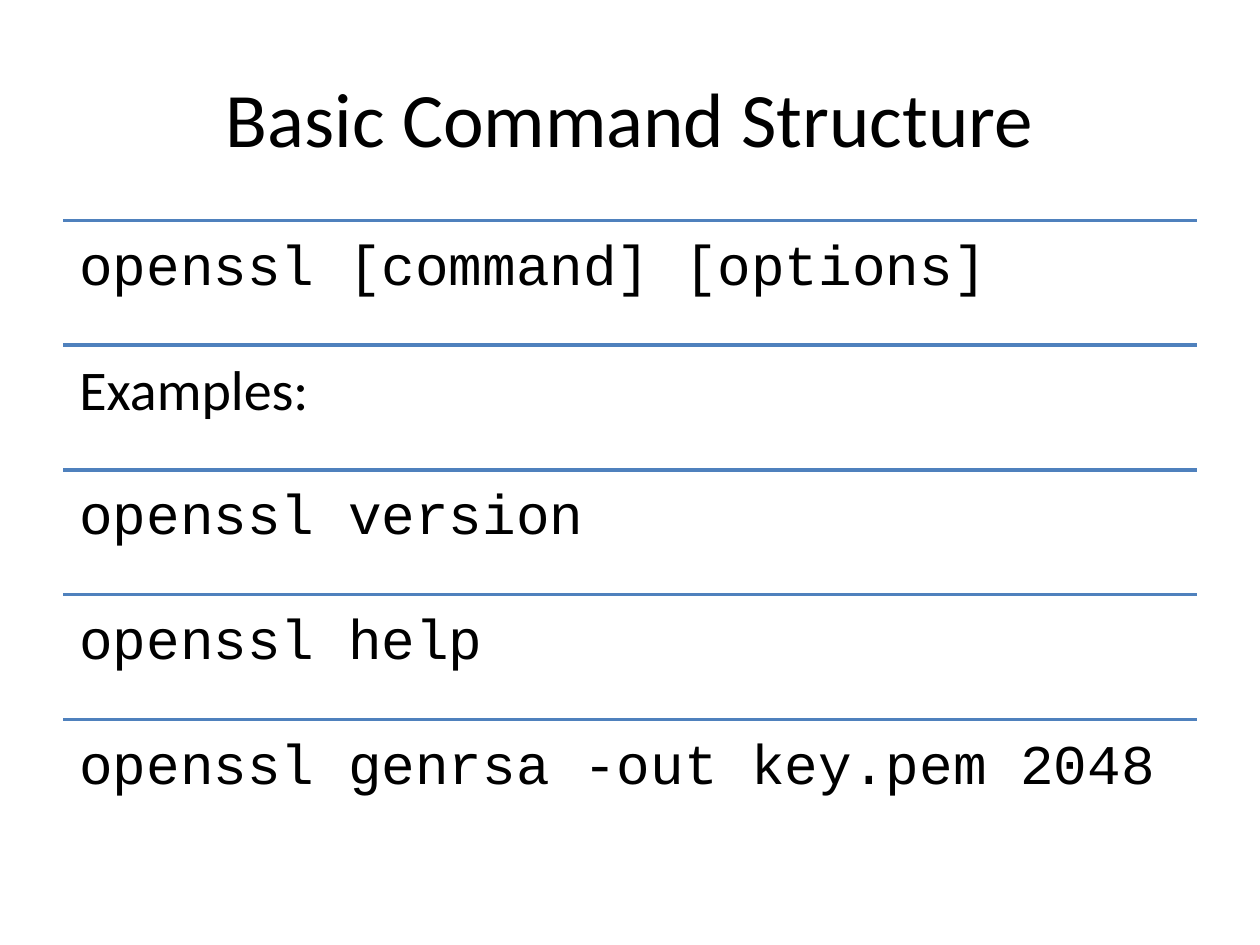
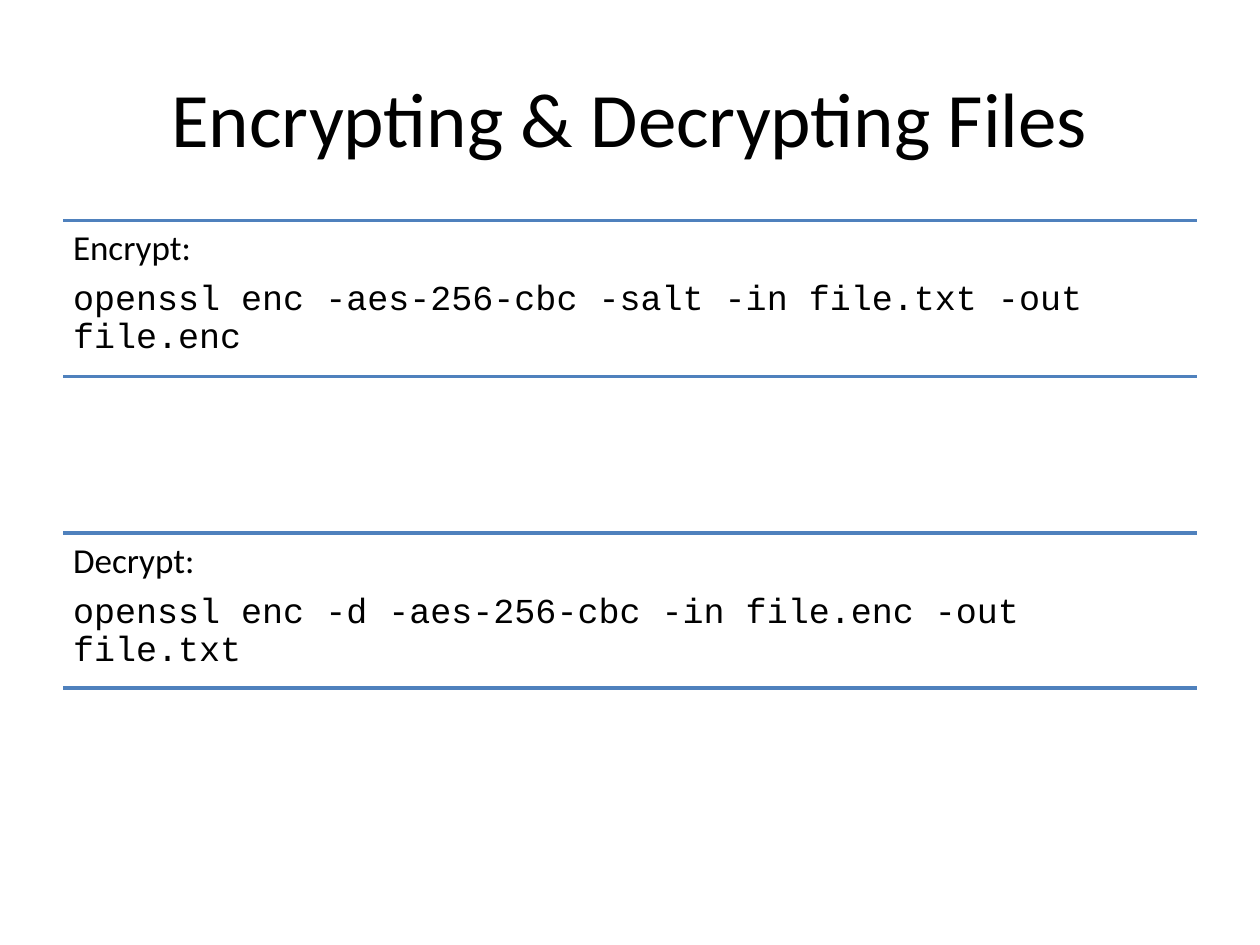
import pptx
import pptx.dml.color
import pptx.enum.shapes
import pptx.enum.text
import pptx.oxml.ns
import pptx.util
from lxml import etree

PX = 9144  # EMU in one px, 100 px to the inch
TITLE_ONLY = 5
BLACK = "000000"
RULE_BLUE = "4F81BD"
PLAIN = "Calibri"
CODE = "Courier New"
LEFT, WIDTH = 50, 900
ROWS_TOP, ROWS_HEIGHT = 175, 495


def px(length):
    return pptx.util.Emu(length * PX)


def color(value):
    return pptx.dml.color.RGBColor.from_string(value)


def style_paragraph(para, font, size):
    for span in para.runs:
        span.font.name = font
        span.font.size = pptx.util.Pt(size)
        span.font.color.rgb = color(BLACK)


def set_margins(frame, side, end):
    frame.margin_left = frame.margin_right = px(side)
    frame.margin_top = frame.margin_bottom = px(end)


def add_titled_page(deck, title):
    page = deck.slides.add_slide(deck.slide_layouts[TITLE_ONLY])
    box = page.shapes.title
    box.left, box.top, box.width, box.height = map(px, (LEFT, 30, WIDTH, 125))
    frame = box.text_frame
    frame.text = title
    frame.vertical_anchor = pptx.enum.text.MSO_ANCHOR.MIDDLE
    set_margins(frame, 10, 5)
    para = frame.paragraphs[0]
    para.alignment = pptx.enum.text.PP_ALIGN.CENTER
    style_paragraph(para, PLAIN, 44)
    return page


def add_rule(page, top):
    rule = page.shapes.add_connector(
        pptx.enum.shapes.MSO_CONNECTOR.STRAIGHT,
        px(LEFT), px(top), px(LEFT + WIDTH), px(top))
    rule.line.color.rgb = color(RULE_BLUE)
    rule.line.width = pptx.util.Pt(2)
    properties = rule.element.find(pptx.oxml.ns.qn("p:spPr"))
    etree.SubElement(properties, pptx.oxml.ns.qn("a:effectLst"))


def add_row_text(page, top, height, lines, size, margin):
    box = page.shapes.add_textbox(px(LEFT), px(top), px(WIDTH), px(height))
    frame = box.text_frame
    frame.word_wrap = True
    set_margins(frame, margin, margin)
    frame.text = "\n".join(text for text, font in lines)
    for index, (para, (text, font)) in enumerate(zip(frame.paragraphs, lines)):
        para.line_spacing = 0.9
        para.space_before = pptx.util.Pt(7 if index else 0)
        style_paragraph(para, font, size)


def add_ruled_rows(page, rows, size, margin):
    """Share the body height equally; each row starts with a rule, and may be empty."""
    tops = [ROWS_TOP + round(index * ROWS_HEIGHT / len(rows))
            for index in range(len(rows))]
    height = round(ROWS_HEIGHT / len(rows))
    for top, lines in zip(tops, rows):
        add_rule(page, top)
        if lines:
            add_row_text(page, top, height, lines, size, margin)


def main():
    deck = pptx.Presentation()
    deck.slide_width, deck.slide_height = px(1000), px(750)

    structure = add_titled_page(deck, "Basic Command Structure")
    add_ruled_rows(structure, [
        [("openssl [command] [options]", CODE)],
        [("Examples:", PLAIN)],
        [("openssl version", CODE)],
        [("openssl help", CODE)],
        [("openssl genrsa -out key.pem 2048", CODE)],
    ], size=32, margin=13)

    files = add_titled_page(deck, "Encrypting & Decrypting Files")
    add_ruled_rows(files, [
        [("Encrypt:", PLAIN),
         ("openssl enc -aes-256-cbc -salt -in file.txt -out file.enc", CODE)],
        [],
        [("Decrypt:", PLAIN),
         ("openssl enc -d -aes-256-cbc -in file.enc -out file.txt", CODE)],
        [],
    ], size=20, margin=8)

    deck.save("out.pptx")


if __name__ == "__main__":
    main()
